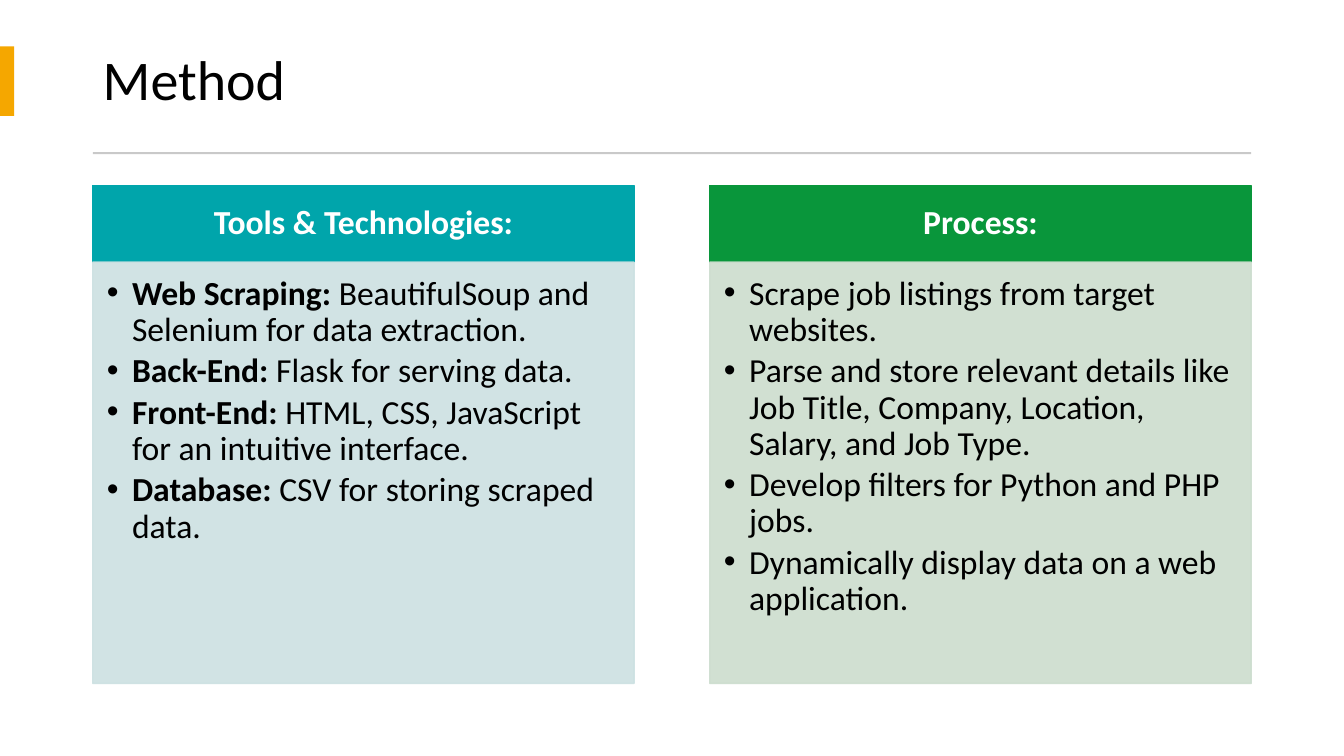
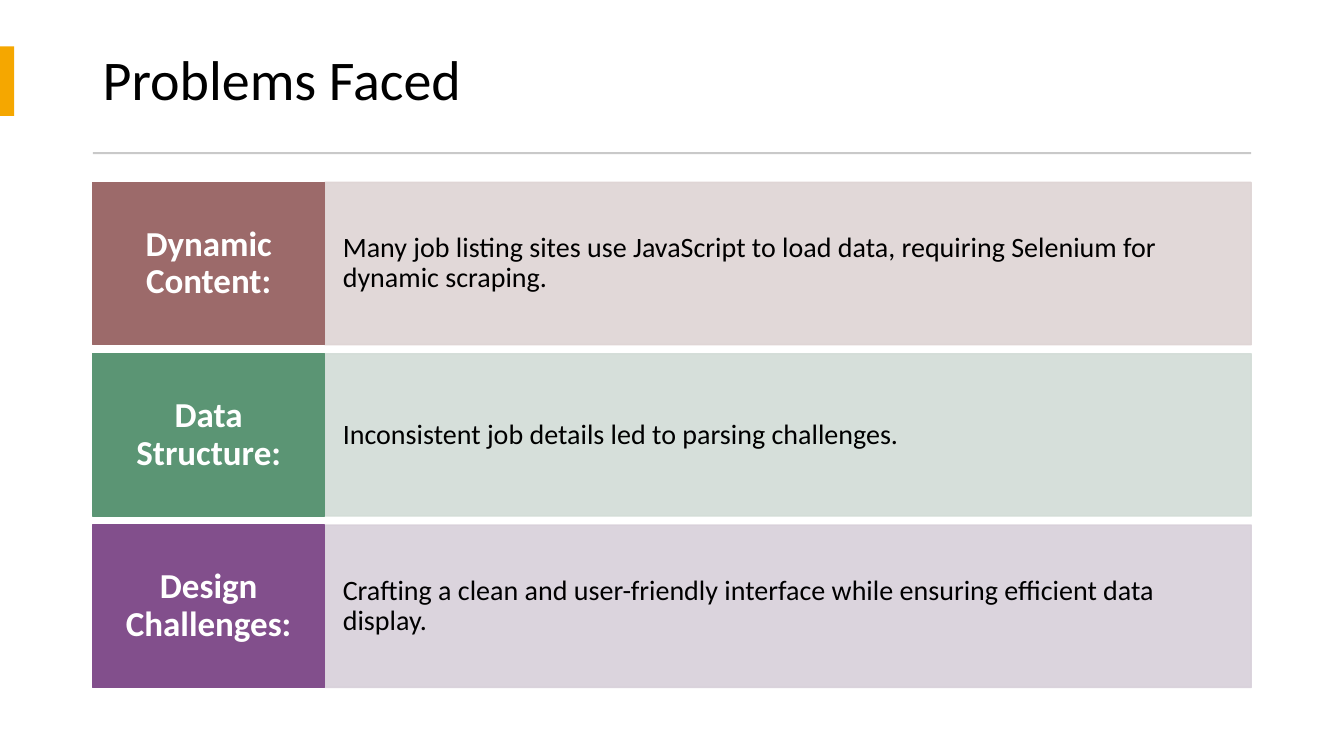
from lxml import etree
from pptx import Presentation
from pptx.dml.color import RGBColor
from pptx.enum.shapes import MSO_SHAPE
from pptx.enum.text import MSO_ANCHOR, PP_ALIGN
from pptx.oxml.ns import qn
from pptx.util import Pt

RECT = MSO_SHAPE.RECTANGLE
TOP, MIDDLE = MSO_ANCHOR.TOP, MSO_ANCHOR.MIDDLE
LEFT, CENTER = PP_ALIGN.LEFT, PP_ALIGN.CENTER

SCALE = 9144  # EMU in one px, 100 px to the inch
WIDE, HIGH = 1333, 750
EDGE, SPAN = 92, 1149  # left edge and width of the content
FONT = "Calibri"
BLACK, WHITE = "000000", "FFFFFF"
AMBER, GRAY = "F5A700", "C9C9C9"


def px(n):
    return n * SCALE


def color(code):
    return RGBColor.from_string(code)


class Deck:
    def __init__(self):
        self.prs = Presentation()
        self.prs.slide_width = px(WIDE)
        self.prs.slide_height = px(HIGH)
        self.slide = None

    def page(self, title):
        """Start a slide with its title, accent tab and rule."""
        self.slide = self.prs.slides.add_slide(self.prs.slide_layouts[6])
        box = self.slide.shapes.add_textbox(*map(px, (EDGE, 27, SPAN, 110)))
        self.text(box, [[title]], 40, pads=(10, 5, 10, 5))
        self.rect(0, 46, 14, 69, AMBER)
        self.rect(EDGE, 151, SPAN, 2, GRAY)

    def rect(self, x, y, w, h, fill, edged=False, alpha=100):
        box = self.slide.shapes.add_shape(RECT, *map(px, (x, y, w, h)))
        box.shadow.inherit = False
        box.fill.solid()
        box.fill.fore_color.rgb = color(fill)
        if edged:
            box.line.color.rgb = color(fill)
            box.line.width = Pt(1)
        else:
            box.line.fill.background()
        if alpha < 100:
            for node in box.element.spPr.iter(qn("a:srgbClr")):
                etree.SubElement(node, qn("a:alpha"), val=str(alpha * 1000))
        return box

    def text(self, box, paras, size, ink=BLACK, bold=False, align=LEFT,
             anchor=MIDDLE, pads=(0, 0, 0, 0), after=0, bullet=False):
        """Fill a box; in a paragraph of two parts the first is bold."""
        frame = box.text_frame
        frame.word_wrap = True
        frame.vertical_anchor = anchor
        (frame.margin_left, frame.margin_top,
         frame.margin_right, frame.margin_bottom) = map(px, pads)
        for i, parts in enumerate(paras):
            para = frame.add_paragraph() if i else frame.paragraphs[0]
            para.text = parts[0]
            for part in parts[1:]:
                para.add_run().text = part
            para.alignment = align
            para.line_spacing = 0.9
            para.space_after = Pt(after)
            if bullet:
                self.bullet(para)
            for j, run in enumerate(para.runs):
                run.font.name = FONT
                run.font.size = Pt(size)
                run.font.color.rgb = color(ink)
                run.font.bold = bold or (len(parts) > 1 and j == 0)

    def bullet(self, para):
        props = para._p.get_or_add_pPr()
        props.set("marL", str(px(25)))
        props.set("indent", str(px(-25)))
        etree.SubElement(props, qn("a:buFont"), typeface="Arial")
        etree.SubElement(props, qn("a:buChar"), char="•")

    def head(self, x, y, w, h, fill, label, size, pads):
        box = self.rect(x, y, w, h, fill, edged=True)
        self.text(box, [[label]], size, WHITE, True, CENTER, pads=pads)

    def panel(self, x, y, w, h, fill, paras, size, **style):
        box = self.rect(x, y, w, h, fill, edged=True, alpha=90)
        self.text(box, paras, size, **style)

    def column(self, x, label, dark, pale, items):
        """A heading above a bulleted panel."""
        self.head(x, 184, 537, 76, dark, label, 24, (19, 11, 19, 11))
        self.panel(x, 260, 537, 418, pale, items, 24, anchor=TOP,
                   pads=(14, 14, 19, 21), after=3.6, bullet=True)

    def row(self, y, label, dark, pale, note):
        """A label beside a panel with a note."""
        side = 230
        self.panel(EDGE + side, y, SPAN - side, 161, pale, [[note]], 20,
                   pads=(18, 41, 18, 41))
        self.head(EDGE, y, side, 161, dark, label, 25, (12, 16, 12, 16))


COLUMNS = [
    ("Tools & Technologies:", "00A5AB", "CCE1E2", [
        ["Web Scraping:", " BeautifulSoup and Selenium for data extraction."],
        ["Back-End:", " Flask for serving data."],
        ["Front-End:", " HTML, CSS, JavaScript for an intuitive interface."],
        ["Database:", " CSV for storing scraped data."],
    ]),
    ("Process:", "09963B", "CCDDCE", [
        ["Scrape job listings from target websites."],
        ["Parse and store relevant details like Job Title, Company, "
         "Location, Salary, and Job Type."],
        ["Develop filters for Python and PHP jobs."],
        ["Dynamically display data on a web application."],
    ]),
]

ROWS = [
    ("Dynamic Content:", "9C6A6A", "DED4D4",
     "Many job listing sites use JavaScript to load data, requiring "
     "Selenium for dynamic scraping."),
    ("Data Structure:", "5B9574", "D2DCD6",
     "Inconsistent job details led to parsing challenges."),
    ("Design Challenges:", "824F8C", "D8D0DA",
     "Crafting a clean and user-friendly interface while ensuring "
     "efficient data display."),
]


def main():
    deck = Deck()

    # Method: two columns
    deck.page("Method")
    for i, column in enumerate(COLUMNS):
        deck.column(EDGE + i * 612, *column)

    # Problems: three rows
    deck.page("Problems Faced")
    for i, row in enumerate(ROWS):
        deck.row(181 + i * 170, *row)

    deck.prs.save("out.pptx")


if __name__ == "__main__":
    main()
